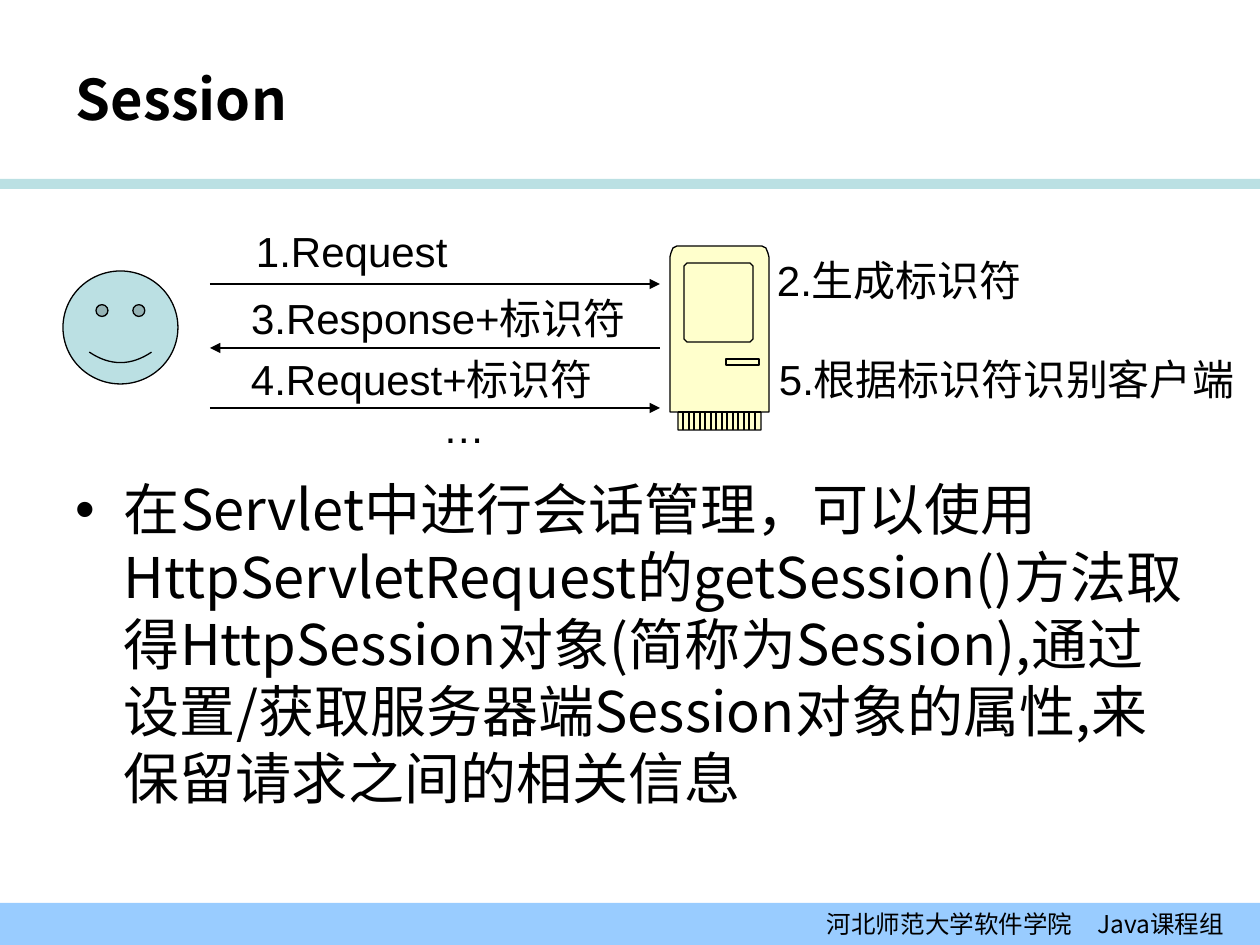
import dataclasses

import pptx
import pptx.dml.color
import pptx.enum.shapes
import pptx.enum.text
import pptx.oxml
import pptx.oxml.ns
import pptx.util

SCALE = 914400 / 126
SHAPE = pptx.enum.shapes.MSO_SHAPE
ALIGN = pptx.enum.text.PP_ALIGN
ANCHOR = pptx.enum.text.MSO_ANCHOR


@dataclasses.dataclass(frozen=True)
class Theme:
    ink: str = "000000"
    aqua: str = "BBE0E3"
    blue: str = "99CCFF"
    cream: str = "FFFFCC"
    latin: str = "Arial"
    cjk: str = "Noto Sans CJK SC"
    big: int = 32
    label: int = 24
    small: int = 14
    line: float = 0.75


def px(num):
    return pptx.util.Emu(round(num * SCALE))


def color(code):
    return pptx.dml.color.RGBColor.from_string(code)


def node(parent, tag, **attrs):
    return pptx.oxml.ns, parent.makeelement(pptx.oxml.ns.qn(tag), attrs)


def add(parent, tag, **attrs):
    """Append a child element with the given attributes."""
    child = parent.makeelement(pptx.oxml.ns.qn(tag), attrs)
    parent.append(child)
    return child


def write(shape, text, *, size, font, ea, ink, bold=False, wrap=True,
          align=ALIGN.LEFT, anchor=ANCHOR.TOP, inset=(13, 6, 13, 6),
          pitch=None):
    """Fill a shape with one paragraph; inset is left, top, right, bottom."""
    frame = shape.text_frame
    frame.auto_size = pptx.enum.text.MSO_AUTO_SIZE.NONE
    frame.word_wrap = wrap
    frame.vertical_anchor = anchor
    (frame.margin_left, frame.margin_top,
     frame.margin_right, frame.margin_bottom) = map(px, inset)
    para = frame.paragraphs[0]
    para.alignment = align
    if pitch:
        para.line_spacing = pptx.util.Pt(size * pitch)
    run = para.add_run()
    run.text = text
    run.font.size = pptx.util.Pt(size)
    run.font.name = font
    run.font.bold = bold
    run.font.color.rgb = color(ink)
    add(run.font._element, "a:ea", typeface=ea)
    return para


class Deck:
    def __init__(self, theme):
        self.theme = theme
        self.prs = pptx.Presentation()
        self.prs.slide_width, self.prs.slide_height = px(1260), px(945)
        self.slide = self.prs.slides.add_slide(self.prs.slide_layouts[5])
        self.shapes = self.slide.shapes

    def text(self, shape, words, **form):
        base = dict(size=self.theme.big, font=self.theme.cjk,
                    ea=self.theme.cjk, ink=self.theme.ink)
        return write(shape, words, **(base | form))

    def paint(self, shape, fill, edge=True):
        shape.shadow.inherit = False
        shape.fill.solid()
        shape.fill.fore_color.rgb = color(fill)
        if edge:
            shape.line.color.rgb = color(self.theme.ink)
            shape.line.width = pptx.util.Pt(self.theme.line)
        else:
            shape.line.fill.background()
        return shape

    def shape(self, kind, box, fill, edge=True):
        return self.paint(self.shapes.add_shape(kind, *map(px, box)), fill, edge)

    def title(self, words, box):
        head = self.shapes.title
        head.left, head.top, head.width, head.height = map(px, box)
        self.text(head, words, bold=True, anchor=ANCHOR.MIDDLE,
                  inset=(13, 16, 13, 6), pitch=1.2)

    def label(self, words, left, top, width):
        box = self.shapes.add_textbox(*map(px, (left, top, width, 63)))
        drop = 6 if words.isascii() or words == "…" else 9
        self.text(box, words, size=self.theme.label, font=self.theme.latin,
                  wrap=False, inset=(13, drop, 13, 6), pitch=1.2)

    def bullet(self, words, box, drop):
        """Add a bulleted paragraph that starts drop px below the box top."""
        body = self.shapes.add_textbox(*map(px, box))
        para = self.text(body, words, inset=(13, drop, 13, 6), pitch=1.2)
        props = para._p.get_or_add_pPr()
        props.set("marL", str(px(48)))
        props.set("indent", str(px(-48)))
        add(props, "a:buFont", typeface=self.theme.latin)
        add(props, "a:buChar", char="•")

    def arrow(self, start, end, y):
        line = self.shapes.add_connector(
            pptx.enum.shapes.MSO_CONNECTOR.STRAIGHT,
            px(start), px(y), px(end), px(y))
        line.line.color.rgb = color(self.theme.ink)
        line.line.width = pptx.util.Pt(self.theme.line)
        add(line.line._get_or_add_ln(), "a:tailEnd", type="triangle")
        add(line._element.spPr, "a:effectLst")

    def outline(self, rings, strokes, fill):
        """Draw closed rings and open strokes as one freeform."""
        pen = self.shapes.build_freeform(*rings[0][0], scale=SCALE)
        for pts, close in ([(r, True) for r in rings]
                           + [(s, False) for s in strokes]):
            pen.move_to(*pts[0])
            pen.add_line_segments(pts[1:], close=close)
        return self.paint(pen.convert_to_shape(), fill)

    def server(self):
        half = [(761, 430), (761, 412), (769, 412), (769, 257),
                (768, 253), (766, 248), (762, 246)]
        case = half + [(1439 - x, y) for x, y in reversed(half)]
        screen = [(687, 263), (750, 263), (753, 266), (753, 339),
                  (750, 342), (687, 342), (684, 339), (684, 266)]
        slot = [(726, 359), (759, 359), (759, 365), (726, 365)]
        vents = [[(x, 412), (x, 430)]
                 for x in (round(683 + i * 72 / 13) for i in range(14))]
        self.outline([case], [], self.theme.cream)
        self.outline([screen, slot], vents + [[(678, 412), (761, 412)]],
                     self.theme.cream)


def main():
    theme = Theme()
    deck = Deck(theme)
    deck.shape(SHAPE.RECTANGLE, (0, 179, 1260, 10), theme.aqua, edge=False)
    foot = deck.shape(SHAPE.RECTANGLE, (0, 903, 1260, 42), theme.blue, edge=False)
    deck.text(foot, "河北师范大学软件学院\u3000Java课程组".replace("\u3000", "　"),
              size=theme.small, align=ALIGN.RIGHT, anchor=ANCHOR.MIDDLE,
              inset=(13, 6, 36, 6))
    deck.title("Session", (63, 38, 1008, 110))
    deck.bullet("在Servlet中进行会话管理，可以使用HttpServletRequest的getSession()方法"
                "取得HttpSession对象(简称为Session),通过设置/获取服务器端Session"
                "对象的属性,来保留请求之间的相关信息", (63, 220, 1134, 624), 255)

    face = deck.shape(SHAPE.SMILEY_FACE, (63, 271, 115, 113), theme.aqua)
    face.adjustments[0] = 0.09
    deck.server()
    for start, end, y in ((210, 660, 284), (660, 210, 348), (210, 660, 408)):
        deck.arrow(start, end, y)
    for words, left, top, width in (
            ("1.Request", 243, 220, 217),
            ("2.生成标识符", 764, 246, 280),
            ("3.Response+标识符", 238, 284, 410),
            ("4.Request+标识符", 238, 345, 377),
            ("5.根据标识符识别客户端", 766, 345, 490),
            ("…", 430, 396, 67)):
        deck.label(words, left, top, width)
    deck.prs.save("out.pptx")


if __name__ == "__main__":
    main()
